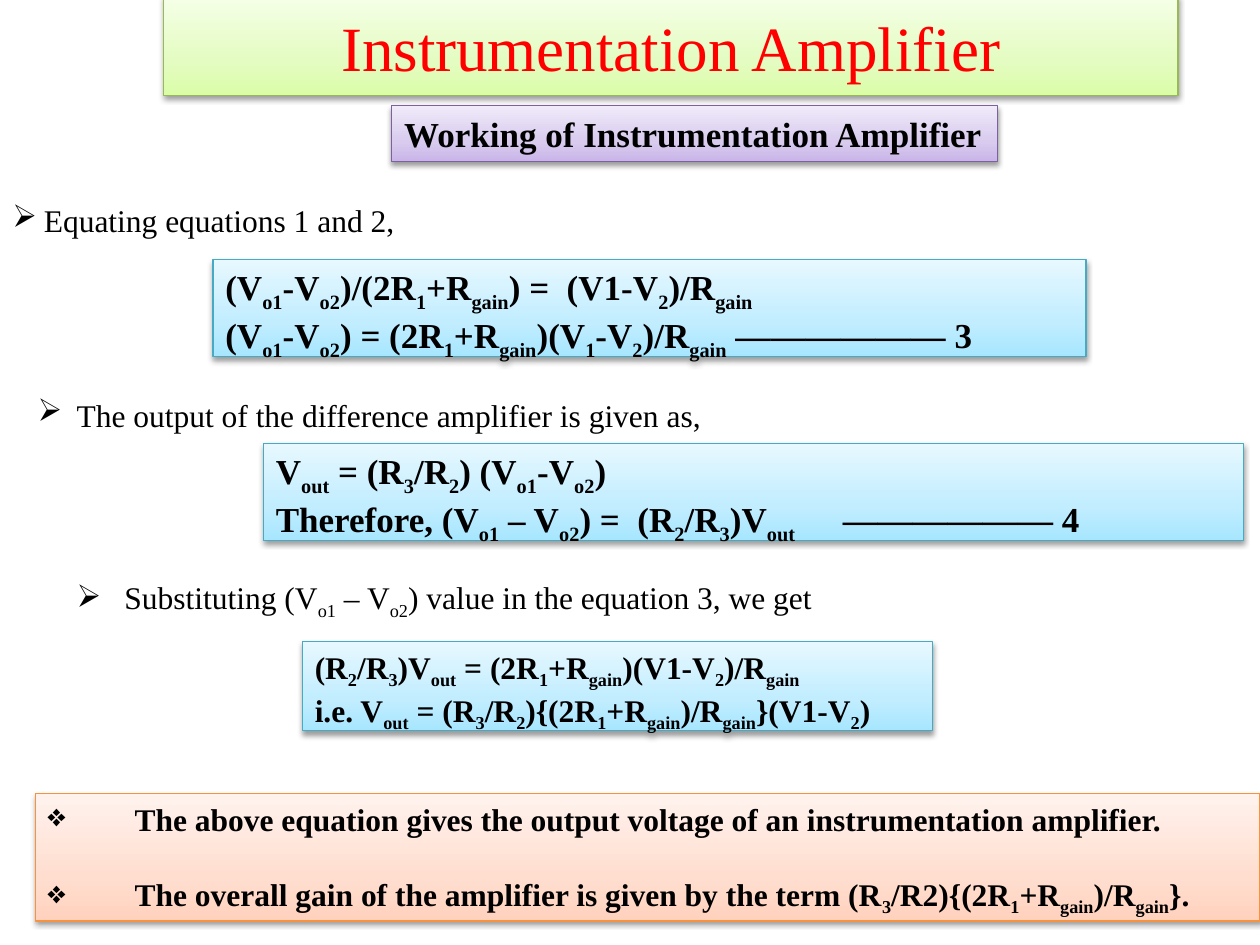
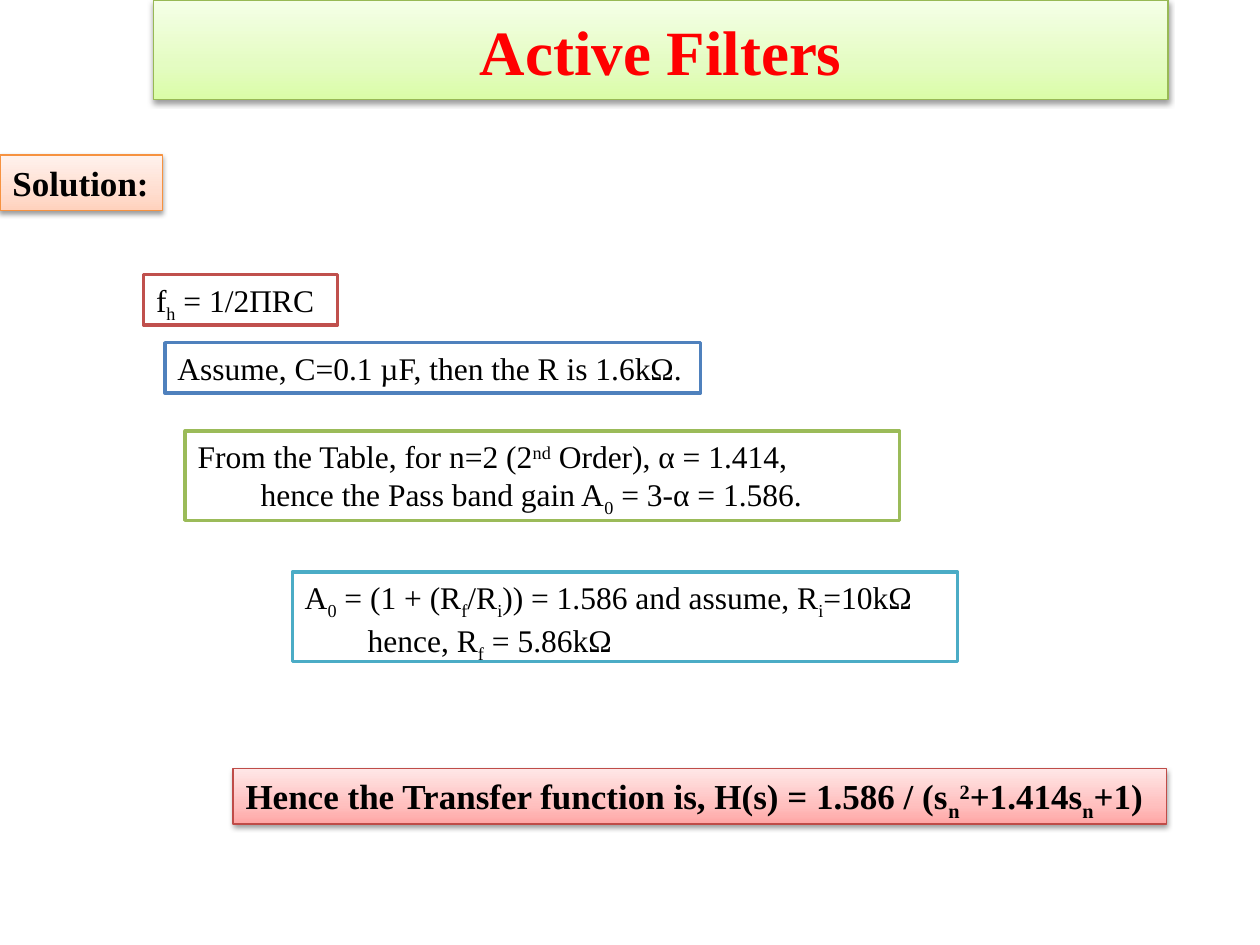
from dataclasses import dataclass
from typing import Optional

from lxml.etree import SubElement
from pptx import Presentation
from pptx.dml.color import RGBColor
from pptx.enum.shapes import MSO_SHAPE
from pptx.enum.text import MSO_ANCHOR, MSO_AUTO_SIZE, PP_ALIGN
from pptx.oxml.ns import qn
from pptx.util import Inches, Pt

FONT = "Times New Roman"
BLACK, WHITE, RED = "000000", "FFFFFF", "FF0000"
SUBSCRIPT, SUPERSCRIPT = "-25000", "30000"


@dataclass(frozen=True)
class Theme:
    """A border and a gradient whose three colours run from bottom to top."""
    line: str
    stops: tuple[str, str, str]


GREEN = Theme("98B955", ("DAFDA7", "E4FCC2", "F5FFE7"))
PURPLE = Theme("7D60A0", ("C9B5E8", "D8CBEE", "F0EAF9"))
AQUA = Theme("46AAC5", ("A7E6FF", "C1EDFF", "E7F8FF"))
ORANGE = Theme("F69240", ("FFD2BD", "FFDED0", "FFF2ED"))
ROSE = Theme("BF4C48", ("FFA6A5", "FFC0BF", "FFE7E7"))


@dataclass(frozen=True)
class Block:
    """A block of text; ~x~ marks a subscript and ^x^ a superscript."""
    left: float
    top: float
    width: float
    height: float
    lines: tuple[str, ...]
    theme: Optional[Theme] = None
    outline: Optional[str] = None
    size: int = 18
    bold: bool = False
    wrap: bool = False
    bullet: str = ""
    indent: float = 0
    gap: int = 0
    color: str = BLACK
    is_title: bool = False


def rgb(color: str) -> RGBColor:
    return RGBColor.from_string(color)


def title(left: float, top: float, text: str, bold: bool) -> Block:
    return Block(left, top, 8.05, 0.79, (text,), GREEN, size=36, bold=bold,
                 wrap=True, color=RED, is_title=True)


def point(left: float, top: float, width: float, text: str, indent: float,
          wrap: bool = True) -> Block:
    return Block(left, top, width, 0.4, (text,), wrap=wrap, bullet="➢", indent=indent)


def equation(left: float, top: float, width: float, height: float,
             lines: tuple[str, ...], size: int = 20) -> Block:
    return Block(left, top, width, height, lines, AQUA, size=size, bold=True, wrap=True)


def step(left: float, top: float, width: float, outline: str, *lines: str) -> Block:
    height = 0.4 if len(lines) == 1 else 0.71
    return Block(left, top, width, height, lines, outline=outline)


def add_shadow(box) -> None:
    box.shadow.inherit = False
    effects = box._element.spPr.find(qn("a:effectLst"))
    shadow = SubElement(effects, qn("a:outerShdw"), blurRad=str(Pt(3.1)),
                        dist=str(Pt(1.6)), dir="5400000", rotWithShape="0")
    color = SubElement(shadow, qn("a:srgbClr"), val=BLACK)
    SubElement(color, qn("a:alpha"), val="38000")


def apply_theme(box, theme: Theme) -> None:
    box.fill.gradient()
    box.fill.gradient_angle = 90
    stops = box._element.spPr.find(qn("a:gradFill")).find(qn("a:gsLst"))
    for old_stop in list(stops):
        stops.remove(old_stop)
    for position, color in zip((0, 35, 100), theme.stops):
        stop = SubElement(stops, qn("a:gs"), pos=str(position * 1000))
        SubElement(stop, qn("a:srgbClr"), val=color)
    box.line.color.rgb = rgb(theme.line)
    box.line.width = Pt(0.75)
    add_shadow(box)


def apply_outline(box, color: str) -> None:
    box.fill.solid()
    box.fill.fore_color.rgb = rgb(WHITE)
    box.line.color.rgb = rgb(color)
    box.line.width = Pt(2)
    box.shadow.inherit = False


def split_markup(line: str) -> list[tuple[str, Optional[str]]]:
    spans = []
    for index, piece in enumerate(line.split("~")):
        if index % 2:
            spans.append((piece, SUBSCRIPT))
            continue
        for part_index, part in enumerate(piece.split("^")):
            spans.append((part, SUPERSCRIPT if part_index % 2 else None))
    return [span for span in spans if span[0]]


def write_line(para, line: str, block: Block) -> None:
    para.alignment = PP_ALIGN.CENTER if block.is_title else PP_ALIGN.LEFT
    if block.bullet:
        properties = para._p.get_or_add_pPr()
        properties.set("marL", str(Inches(block.indent)))
        properties.set("indent", str(-Inches(block.indent)))
        SubElement(properties, qn("a:buChar"), char=block.bullet)
    for text, baseline in split_markup(line):
        span = para.add_run()
        span.text = text
        span.font.name = FONT
        span.font.size = Pt(block.size)
        span.font.bold = block.bold
        span.font.color.rgb = rgb(block.color)
        if baseline:
            span._r.get_or_add_rPr().set("baseline", baseline)


def draw_block(page, block: Block) -> None:
    place = [Inches(v) for v in (block.left, block.top, block.width, block.height)]
    if block.theme or block.outline:
        box = page.shapes.add_shape(MSO_SHAPE.RECTANGLE, *place)
    else:
        box = page.shapes.add_textbox(*place)
    if block.theme:
        apply_theme(box, block.theme)
    elif block.outline:
        apply_outline(box, block.outline)
    frame = box.text_frame
    frame.word_wrap = block.wrap
    frame.auto_size = MSO_AUTO_SIZE.NONE if block.is_title else MSO_AUTO_SIZE.SHAPE_TO_FIT_TEXT
    frame.vertical_anchor = MSO_ANCHOR.MIDDLE if block.is_title else MSO_ANCHOR.TOP
    for index, line in enumerate(block.lines):
        para = frame.add_paragraph() if index else frame.paragraphs[0]
        write_line(para, line, block)
        if index and block.gap:
            para.space_before = Pt(block.gap)


AMPLIFIER = (
    Block(3.11, 0.84, 4.81, 0.44, ("Working of Instrumentation Amplifier",),
          PURPLE, size=20, bold=True),
    title(1.3, -0.03, "Instrumentation Amplifier", bold=False),
    point(0, 1.55, 3.26, "Equating equations 1 and 2,", 0.25, wrap=False),
    equation(1.69, 2.06, 6.93, 0.77, (
        "(V~o1~-V~o2~)/(2R~1~+R~gain~) =  (V1-V~2~)/R~gain~",
        "(V~o1~-V~o2~) = (2R~1~+R~gain~)(V~1~-V~2~)/R~gain~ —————— 3")),
    point(0.2, 3.09, 6.22, "The output of the difference amplifier is given as,", 0.31),
    equation(2.09, 3.52, 7.78, 0.77, (
        "V~out~ = (R~3~/R~2~) (V~o1~-V~o2~)",
        "Therefore, (V~o1~ – V~o2~) =  (R~2~/R~3~)V~out ~\t—————— 4")),
    point(0.51, 4.54, 6.54,
          "Substituting (V~o1~ – V~o2~) value in the equation 3, we get", 0.38),
    equation(2.4, 5.09, 5, 0.71, (
        "(R~2~/R~3~)V~out~ = (2R~1~+R~gain~)(V1-V~2~)/R~gain~",
        "i.e. V~out~ = (R~3~/R~2~){(2R~1~+R~gain~)/R~gain~}(V1-V~2~)"), size=18),
    Block(0.28, 6.3, 9.72, 1.01, (
        "The above equation gives the output voltage of an instrumentation amplifier.",
        "The overall gain of the amplifier is given by the term "
        "(R~3~/R2){(2R~1~+R~gain~)/R~gain~}."),
        ORANGE, bold=True, wrap=True, bullet="❖", indent=0.69, gap=21),
)

FILTERS = (
    title(1.22, 0, "Active Filters", bold=True),
    Block(0, 1.23, 1.29, 0.44, ("Solution:",), ORANGE, size=20, bold=True),
    step(1.14, 2.18, 1.54, "C0504D", "f~h~ = 1/2ΠRC"),
    step(1.31, 2.72, 4.25, "4F81BD", "Assume, C=0.1 µF, then the R is 1.6kΩ."),
    step(1.47, 3.42, 5.67, "9BBB59",
         "From the Table, for n=2 (2^nd^ Order), α = 1.414,",
         "\thence the Pass band gain A~0~ = 3-α = 1.586."),
    step(2.32, 4.54, 5.28, "4BACC6",
         "A~0~ = (1 + (R~f~/R~i~)) = 1.586 and assume, R~i~=10kΩ",
         "\thence, R~f~ = 5.86kΩ"),
    Block(1.85, 6.1, 7.41, 0.44,
          ("Hence the Transfer function is, H(s) = 1.586 / (s~n~^2^+1.414s~n~+1)",),
          ROSE, size=20, bold=True),
)


def main() -> None:
    deck = Presentation()
    deck.slide_width, deck.slide_height = Inches(10), Inches(7.5)
    for blocks in (AMPLIFIER, FILTERS):
        page = deck.slides.add_slide(deck.slide_layouts[6])
        for block in blocks:
            draw_block(page, block)
    deck.save("out.pptx")


if __name__ == "__main__":
    main()
